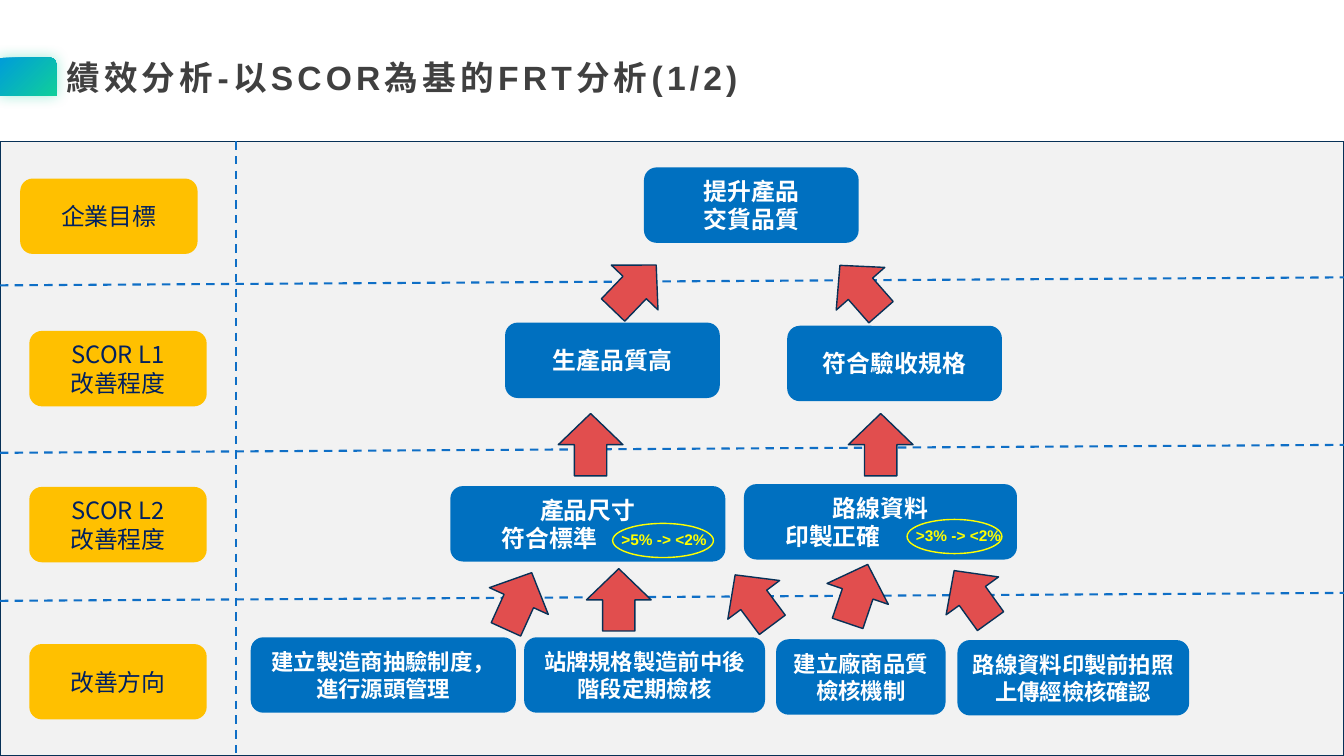
from dataclasses import dataclass

from lxml import etree
from pptx import Presentation
from pptx.dml.color import RGBColor
from pptx.enum.dml import MSO_LINE
from pptx.enum.shapes import MSO_CONNECTOR, MSO_SHAPE
from pptx.enum.text import MSO_ANCHOR, MSO_AUTO_SIZE, PP_ALIGN
from pptx.oxml.ns import qn
from pptx.util import Cm, Pt

RECT = MSO_SHAPE.RECTANGLE
ROUNDED = MSO_SHAPE.ROUNDED_RECTANGLE
TAB = MSO_SHAPE.ROUND_1_RECTANGLE
OVAL = MSO_SHAPE.OVAL
ARROW = MSO_SHAPE.RIGHT_ARROW
STRAIGHT = MSO_CONNECTOR.STRAIGHT
DASH = MSO_LINE.DASH
LEFT, CENTER = PP_ALIGN.LEFT, PP_ALIGN.CENTER
TOP, MIDDLE = MSO_ANCHOR.TOP, MSO_ANCHOR.MIDDLE


@dataclass(frozen=True)
class Theme:
    latin: str = "Arial"
    asian: str = "Noto Sans CJK SC"
    title_ink: str = "404040"
    board: str = "F2F2F2"
    outline: str = "073157"
    divider: str = "0F6FC6"
    node: str = "0070C0"
    node_ink: str = "FFFFFF"
    lane: str = "FFC000"
    lane_ink: str = "002060"
    arrow: str = "E14E4E"
    ratio: str = "FFFF00"
    tab_start: str = "10CF9B"
    tab_end: str = "009DD9"
    title_size: float = 24
    body_size: float = 17
    action_size: float = 16
    ratio_size: float = 11


THEME = Theme()
SLIDE_WIDTH, SLIDE_HEIGHT = 33.87, 19.05
BOARD_TOP = 3.56
BOX_HEIGHT = 1.9

LANES = [
    (0.51, 0.94, ["企業目標"]),
    (0.74, 4.78, ["SCOR L1", "改善程度"]),
    (0.74, 8.71, ["SCOR L2", "改善程度"]),
    (0.74, 12.67, ["改善方向"]),
]
DIVIDERS = [3.63, 7.85, 11.58]
DIVIDER_RISE = 0.2
LANE_EDGE = 5.94

GOALS = [
    (16.23, 0.66, 5.41, ["提升產品", "交貨品質"]),
    (12.73, 4.57, 5.41, ["生產品質高"]),
    (19.84, 4.65, 5.41, ["符合驗收規格"]),
]
MEASURES = [
    (11.35, 8.69, 6.93, ["產品尺寸", "符合標準"], 0.95),
    (18.75, 8.64, 6.88, ["路線資料", "印製正確"], 0.7),
]
ACTIONS = [
    (6.32, 12.5, 6.68, ["建立製造商抽驗制度，進行源頭管理"]),
    (13.21, 12.5, 6.07, ["站牌規格製造前中後階段定期檢核"]),
    (19.56, 12.55, 4.27, ["建立廠商品質", "檢核機制"]),
    (24.13, 12.57, 5.84, ["路線資料印製前拍照上傳經檢核確認"]),
]
ARROWS = [
    (15.21, 2.87, 313.8),
    (20.9, 2.9, 228.7),
    (14.1, 6.83, 270),
    (21.41, 6.83, 270),
    (12.29, 10.77, 294.4),
    (14.81, 10.74, 270),
    (18.21, 10.74, 233.3),
    (20.83, 10.59, 288.8),
    (23.72, 10.64, 234.2),
]
RATIOS = [
    (15.44, 9.63, 2.54, ">5% -> <2%"),
    (22.86, 9.53, 2.39, ">3% -> <2%"),
]


def colour(code):
    return RGBColor.from_string(code)


def write(shape, lines, *, font, size, ink, bold=False, align=CENTER,
          anchor=MIDDLE, spacing=0, indent=None):
    frame = shape.text_frame
    frame.word_wrap = True
    frame.auto_size = MSO_AUTO_SIZE.NONE
    frame.vertical_anchor = anchor
    for number, line in enumerate(lines):
        para = frame.add_paragraph() if number else frame.paragraphs[0]
        para.alignment = align
        para.line_spacing = 1.0
        para.space_before = Pt(0)
        if number and indent is not None:
            para.alignment = LEFT
            para._p.get_or_add_pPr().set("marL", str(Cm(indent)))
        span = para.add_run()
        span.text = line
        span.font.name = font
        span.font.size = Pt(size)
        span.font.bold = bold
        span.font.color.rgb = colour(ink)
        properties = span._r.get_or_add_rPr()
        properties.set("spc", str(spacing * 100))
        etree.SubElement(properties, qn("a:ea"), typeface=THEME.asian)


def add_box(page, kind, left, top, width, height, fill=None, line=None):
    box = page.shapes.add_shape(kind, Cm(left), Cm(top), Cm(width), Cm(height))
    box.shadow.inherit = False
    if fill:
        box.fill.solid()
        box.fill.fore_color.rgb = colour(fill)
    else:
        box.fill.background()
    if line:
        box.line.color.rgb = colour(line)
        box.line.width = Pt(1)
    else:
        box.line.fill.background()
    return box


def add_divider(page, x1, y1, x2, y2):
    line = page.shapes.add_connector(STRAIGHT, Cm(x1), Cm(y1), Cm(x2), Cm(y2))
    line.line.color.rgb = colour(THEME.divider)
    line.line.width = Pt(1.5)
    line.line.dash_style = DASH
    etree.SubElement(line._element.spPr, qn("a:effectLst"))


def add_header(page, left, top):
    tab = add_box(page, TAB, left, top + 0.15, 1.42, 0.97)
    tab.fill.gradient()
    for stop, code in zip(tab.fill.gradient_stops, (THEME.tab_start, THEME.tab_end)):
        stop.color.rgb = colour(code)
    gradient = tab._element.spPr.find(qn("a:gradFill"))
    gradient.remove(gradient.find(qn("a:lin")))
    radial = etree.SubElement(gradient, qn("a:path"), path="circle")
    etree.SubElement(radial, qn("a:fillToRect"), l="100000", t="100000")
    effects = tab._element.spPr.find(qn("a:effectLst"))
    glow = etree.SubElement(effects, qn("a:outerShdw"), blurRad=str(Pt(10)))
    tint = etree.SubElement(glow, qn("a:srgbClr"), val=THEME.tab_start)
    etree.SubElement(tint, qn("a:alpha"), val="40000")

    title = page.shapes.title
    title.left, title.top = Cm(left + 1.42), Cm(top)
    title.width, title.height = Cm(17.7), Cm(1.27)
    write(title, ["績效分析-以SCOR為基的FRT分析(1/2)"], font=THEME.latin,
          size=THEME.title_size, ink=THEME.title_ink, bold=True, align=LEFT,
          anchor=TOP, spacing=3)


def add_lanes(page, left, top, width, height):
    add_box(page, RECT, left, top, width, height, THEME.board, THEME.outline)
    add_divider(page, left + LANE_EDGE, top, left + LANE_EDGE, top + height)
    for y in DIVIDERS:
        add_divider(page, left, top + y, left + width, top + y - DIVIDER_RISE)
    for x, y, lines in LANES:
        label = add_box(page, ROUNDED, left + x, top + y, 4.47, BOX_HEIGHT, THEME.lane)
        write(label, lines, font=THEME.asian, size=THEME.body_size, ink=THEME.lane_ink)


def add_node(page, left, top, width, lines, size, indent=None):
    node = add_box(page, ROUNDED, left, top, width, BOX_HEIGHT, THEME.node)
    write(node, lines, font=THEME.asian, size=size, ink=THEME.node_ink,
          bold=True, indent=indent)


def add_ratio(page, left, top, width, words):
    add_box(page, OVAL, left, top, width, 0.86, line=THEME.ratio)
    label = page.shapes.add_textbox(Cm(left - 0.03), Cm(top + 0.05), Cm(3), Cm(0.74))
    write(label, [words], font=THEME.latin, size=THEME.ratio_size,
          ink=THEME.ratio, bold=True, align=LEFT, anchor=TOP)


def add_tree(page, left, top):
    for x, y, width, lines in GOALS:
        add_node(page, left + x, top + y, width, lines, THEME.body_size)
    for x, y, width, lines, indent in MEASURES:
        add_node(page, left + x, top + y, width, lines, THEME.body_size, indent)
    for x, y, width, lines in ACTIONS:
        add_node(page, left + x, top + y, width, lines, THEME.action_size)
    for x, y, angle in ARROWS:
        arrow = add_box(page, ARROW, left + x, top + y, 1.57, 1.63,
                        THEME.arrow, THEME.outline)
        arrow.rotation = angle
    for x, y, width, words in RATIOS:
        add_ratio(page, left + x, top + y, width, words)


def main():
    deck = Presentation()
    deck.slide_width, deck.slide_height = Cm(SLIDE_WIDTH), Cm(SLIDE_HEIGHT)
    page = deck.slides.add_slide(deck.slide_layouts[5])
    add_header(page, 0, 1.3)
    add_lanes(page, 0, BOARD_TOP, SLIDE_WIDTH, SLIDE_HEIGHT - BOARD_TOP)
    add_tree(page, 0, BOARD_TOP)
    deck.save("out.pptx")


if __name__ == "__main__":
    main()
